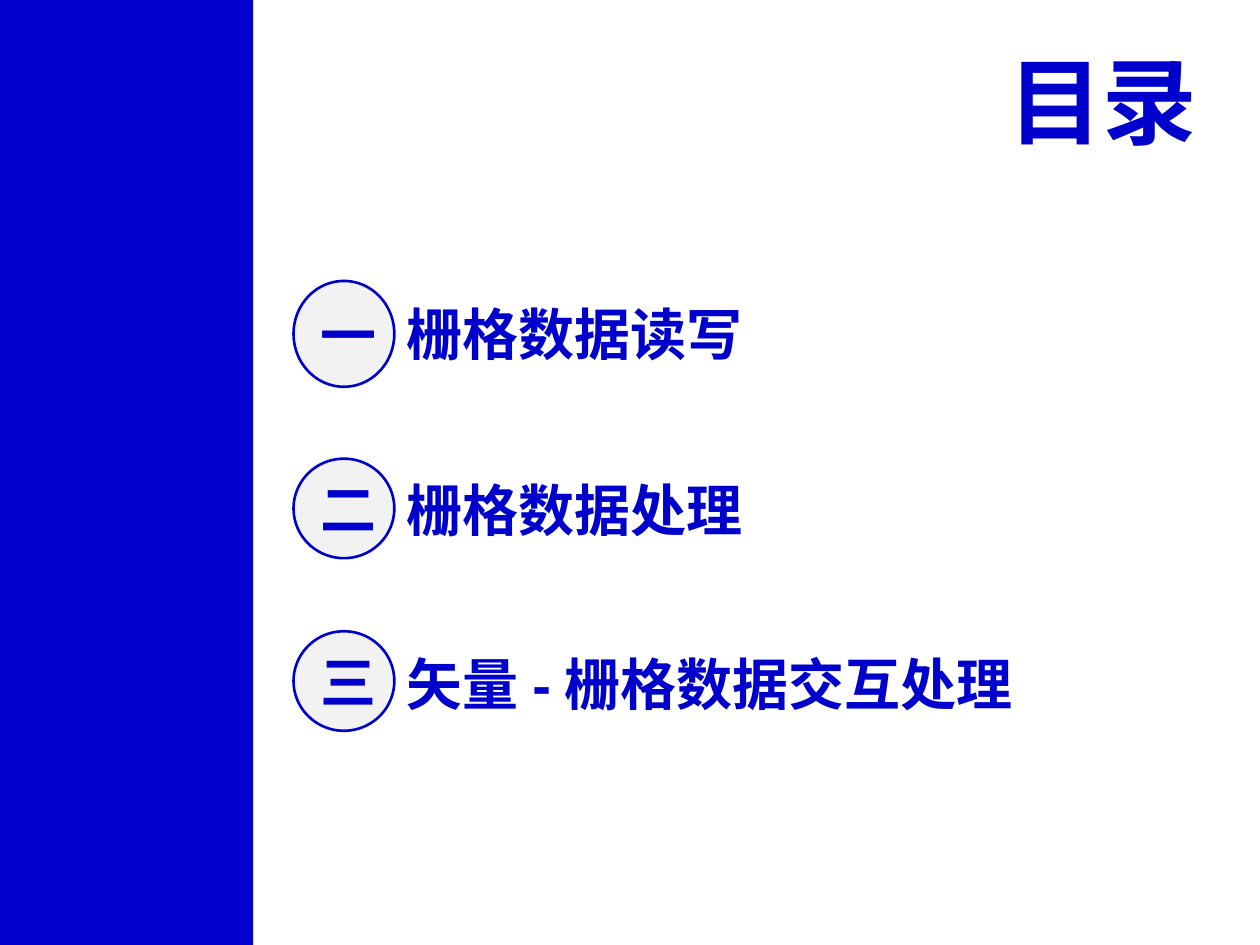
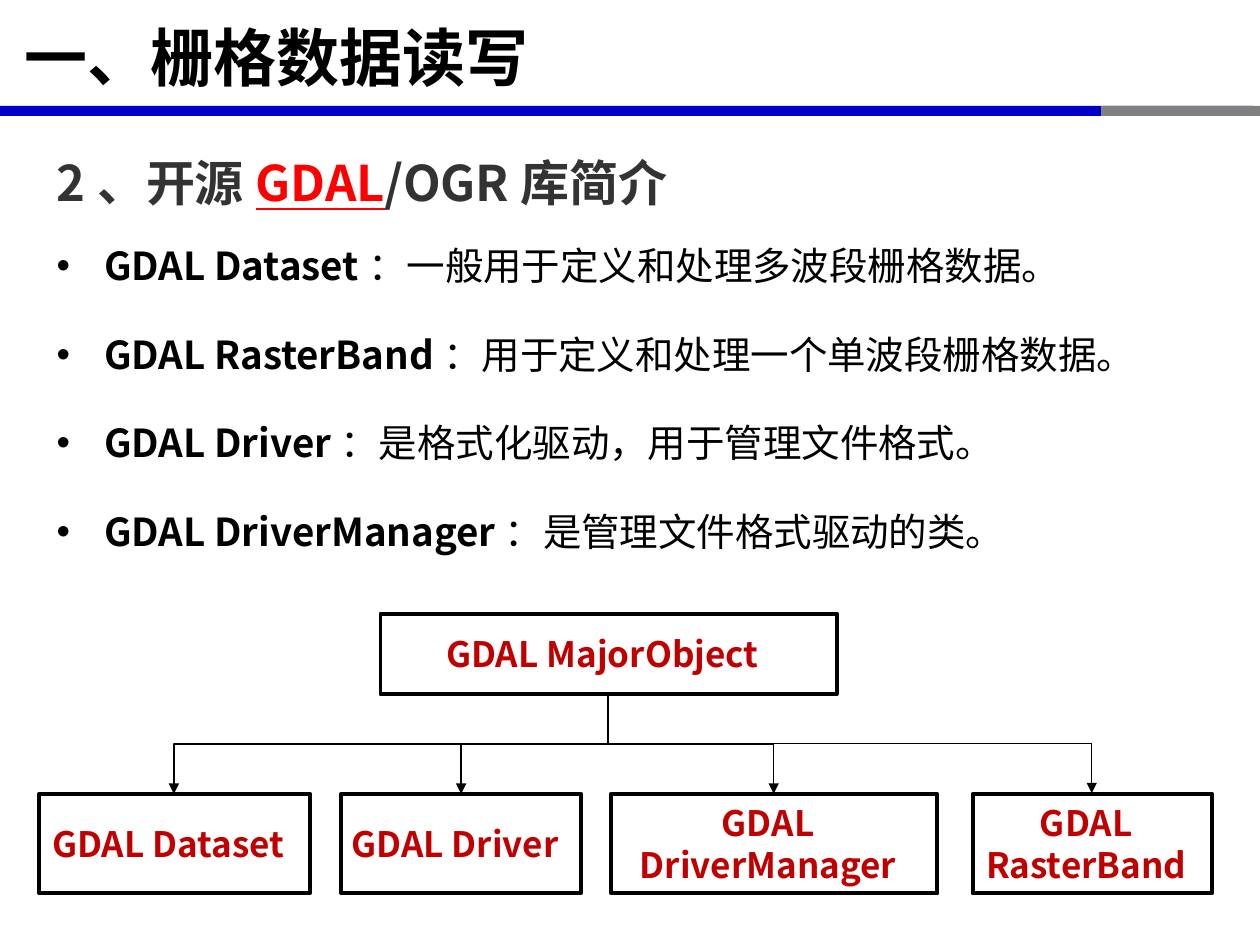
from dataclasses import dataclass
from typing import NamedTuple

from lxml.etree import SubElement
from pptx import Presentation
from pptx.dml.color import RGBColor
from pptx.enum.shapes import MSO_CONNECTOR, MSO_SHAPE
from pptx.enum.text import MSO_ANCHOR, PP_ALIGN
from pptx.oxml.ns import qn
from pptx.shapes.autoshape import Shape
from pptx.slide import Slide
from pptx.text.text import _Paragraph as Paragraph
from pptx.util import Emu, Pt

BLUE = RGBColor(0x00, 0x00, 0xCC)
GRAY = RGBColor(0x80, 0x80, 0x80)
PALE = RGBColor(0xF2, 0xF2, 0xF2)
DARK = RGBColor(0x33, 0x33, 0x33)
BLACK = RGBColor(0x00, 0x00, 0x00)
RED = RGBColor(0xFF, 0x00, 0x00)
CRIMSON = RGBColor(0xC0, 0x00, 0x00)

CJK_FONT = "Noto Sans CJK SC"
LATIN_FONT = "Arial"


def px(length: int) -> Emu:
    """Convert px to EMU at 100 px to the inch."""
    return Emu(length * 9144)


class Box(NamedTuple):
    left: int
    top: int
    width: int
    height: int

    @property
    def center_x(self) -> int:
        return self.left + self.width // 2

    @property
    def bottom(self) -> int:
        return self.top + self.height

    def emu(self) -> list[Emu]:
        return [px(length) for length in self]


@dataclass(frozen=True)
class Style:
    size: int
    color: RGBColor
    bold: bool = True
    underline: bool = False
    font: str = CJK_FONT


class Span(NamedTuple):
    text: str
    style: Style


class Chapter(NamedTuple):
    numeral: str
    title: str
    badge: Box
    label: Box


class ClassNode(NamedTuple):
    name: str
    box: Box


CONTENTS_TITLE = Style(54, BLUE, font=LATIN_FONT)
CHAPTER_NUMERAL = Style(32, BLUE)
CHAPTER_LABEL = Style(32, BLUE, font=LATIN_FONT)
SLIDE_TITLE = Style(36, BLACK)
SECTION = Style(28, DARK)
SECTION_KEYWORD = Style(28, RED, underline=True)
TERM = Style(22, BLACK)
MEANING = Style(22, BLACK, bold=False)
NODE_NAME = Style(20, CRIMSON)

CHAPTERS = [
    Chapter("一", "栅格数据读写", Box(233, 223, 80, 84), Box(313, 232, 647, 64)),
    Chapter("二", "栅格数据处理", Box(233, 364, 80, 79), Box(313, 372, 620, 64)),
    Chapter("三", "矢量-栅格数据交互处理", Box(233, 501, 80, 79), Box(313, 510, 620, 64)),
]

DEFINITIONS = {
    "GDAL Dataset": "：一般用于定义和处理多波段栅格数据。",
    "GDAL RasterBand": "：用于定义和处理一个单波段栅格数据。",
    "GDAL Driver": "：是格式化驱动，用于管理文件格式。",
    "GDAL DriverManager": "：是管理文件格式驱动的类。",
}

BASE_CLASS = ClassNode("GDAL MajorObject", Box(302, 487, 362, 64))
SUBCLASSES = [
    ClassNode(name, Box(left, 630, width, 79))
    for name, left, width in [
        ("GDAL Dataset", 31, 215),
        ("GDAL Driver", 271, 190),
        ("GDAL DriverManager", 485, 259),
        ("GDAL RasterBand", 772, 190),
    ]
]


def write(paragraph: Paragraph, *spans: Span) -> None:
    for text, style in spans:
        run = paragraph.add_run()
        run.text = text
        font = run.font
        font.name = style.font
        font.size = Pt(style.size)
        font.bold = style.bold
        font.underline = style.underline
        font.color.rgb = style.color
        SubElement(run._r.get_or_add_rPr(), qn("a:ea"), typeface=CJK_FONT)


def space_before_half_line(paragraph: Paragraph) -> None:
    paragraph.space_before = Pt(0)
    spacing = paragraph._p.pPr.find(qn("a:spcBef"))
    spacing.remove(spacing[0])
    SubElement(spacing, qn("a:spcPct"), val="50000")


def indent(paragraph: Paragraph, margin: int, first_line: int) -> None:
    properties = paragraph._p.get_or_add_pPr()
    properties.set("marL", str(px(margin)))
    properties.set("indent", str(px(first_line)))


def add_bullet(paragraph: Paragraph) -> None:
    indent(paragraph, 38, -38)
    properties = paragraph._p.pPr
    SubElement(properties, qn("a:buFont"), typeface=LATIN_FONT)
    SubElement(properties, qn("a:buChar"), char="•")


def add_panel(
    slide: Slide,
    kind: MSO_SHAPE,
    box: Box,
    fill: RGBColor | None = None,
    line: RGBColor | None = None,
    line_width: float = 0,
) -> Shape:
    panel = slide.shapes.add_shape(kind, *box.emu())
    panel.shadow.inherit = False
    if fill is None:
        panel.fill.background()
    else:
        panel.fill.solid()
        panel.fill.fore_color.rgb = fill
    if line is None:
        panel.line.fill.background()
    else:
        panel.line.color.rgb = line
        panel.line.width = Pt(line_width)
    return panel


def add_text(
    slide: Slide, box: Box, anchor: MSO_ANCHOR = MSO_ANCHOR.TOP, wrap: bool = True
) -> Shape:
    text_box = slide.shapes.add_textbox(*box.emu())
    text_box.text_frame.word_wrap = wrap
    text_box.text_frame.vertical_anchor = anchor
    return text_box


def write_centered(panel: Shape, span: Span) -> Paragraph:
    frame = panel.text_frame
    frame.word_wrap = True
    frame.vertical_anchor = MSO_ANCHOR.MIDDLE
    paragraph = frame.paragraphs[0]
    paragraph.alignment = PP_ALIGN.CENTER
    write(paragraph, span)
    return paragraph


def add_chapter(slide: Slide, chapter: Chapter) -> None:
    badge = add_panel(slide, MSO_SHAPE.OVAL, chapter.badge, PALE, BLUE, 1.5)
    write_centered(badge, Span(chapter.numeral, CHAPTER_NUMERAL))
    label = add_text(slide, chapter.label, MSO_ANCHOR.MIDDLE)
    write(label.text_frame.paragraphs[0], Span(chapter.title, CHAPTER_LABEL))


def add_class_node(slide: Slide, node: ClassNode) -> Shape:
    panel = add_panel(slide, MSO_SHAPE.RECTANGLE, node.box, line=BLACK, line_width=2.25)
    panel.text_frame.margin_left = 0
    space_before_half_line(write_centered(panel, Span(node.name, NODE_NAME)))
    return panel


def add_inheritance_arrow(
    slide: Slide, parent: ClassNode, child: ClassNode, parent_panel: Shape, child_panel: Shape
) -> None:
    """Draw an elbow arrow that leaves downwards, by turning its frame a quarter."""
    drop = child.box.top - parent.box.bottom
    shift = child.box.center_x - parent.box.center_x
    reach = abs(shift)
    arrow = slide.shapes.add_connector(MSO_CONNECTOR.ELBOW, 0, 0, 0, 0)
    arrow.begin_connect(parent_panel, 2)
    arrow.end_connect(child_panel, 0)
    arrow.left = px((parent.box.center_x + child.box.center_x - drop) // 2)
    arrow.top = px((parent.box.bottom + child.box.top - reach) // 2)
    arrow.width, arrow.height = px(drop), px(reach)
    arrow.line.color.rgb = BLACK
    arrow.line.width = Pt(0.75)

    properties = arrow._element.spPr
    frame = properties.find(qn("a:xfrm"))
    turn = 90 if shift < 0 else 270
    frame.set("rot", str(turn * 60000))
    frame.set("flipH", str(int(shift > 0)))
    frame.set("flipV", "0")
    SubElement(properties.find(qn("a:ln")), qn("a:tailEnd"), type="triangle")
    SubElement(properties, qn("a:effectLst"))


def add_slide_header(slide: Slide, title: str) -> None:
    add_panel(slide, MSO_SHAPE.RECTANGLE, Box(0, 84, 995, 8), BLUE)
    add_panel(slide, MSO_SHAPE.RECTANGLE, Box(874, 84, 126, 8), GRAY)
    heading = add_text(slide, Box(0, 1, 986, 87), MSO_ANCHOR.MIDDLE)
    paragraph = heading.text_frame.paragraphs[0]
    indent(paragraph, 0, 10)
    write(paragraph, Span(title, SLIDE_TITLE))


def build_contents(slide: Slide) -> None:
    add_panel(slide, MSO_SHAPE.RECTANGLE, Box(0, 0, 201, 750), BLUE)
    heading = add_text(slide, Box(784, 29, 176, 101), wrap=False)
    paragraph = heading.text_frame.paragraphs[0]
    paragraph.alignment = PP_ALIGN.RIGHT
    write(paragraph, Span("目录", CONTENTS_TITLE))
    for chapter in CHAPTERS:
        add_chapter(slide, chapter)


def build_library_intro(slide: Slide) -> None:
    add_slide_header(slide, "一、栅格数据读写")

    section = add_text(slide, Box(35, 93, 931, 72)).text_frame.paragraphs[0]
    section.alignment = PP_ALIGN.JUSTIFY
    section.line_spacing = 1.5
    space_before_half_line(section)
    write(
        section,
        Span("2、开源", SECTION),
        Span("GDAL", SECTION_KEYWORD),
        Span("/OGR库简介", SECTION),
    )

    definitions = add_text(slide, Box(35, 169, 902, 281)).text_frame
    for index, (term, meaning) in enumerate(DEFINITIONS.items()):
        paragraph = definitions.add_paragraph() if index else definitions.paragraphs[0]
        paragraph.line_spacing = 1.5
        space_before_half_line(paragraph)
        add_bullet(paragraph)
        write(paragraph, Span(term, TERM), Span(meaning, MEANING))

    base_panel = add_class_node(slide, BASE_CLASS)
    for subclass in SUBCLASSES:
        panel = add_class_node(slide, subclass)
        add_inheritance_arrow(slide, BASE_CLASS, subclass, base_panel, panel)


def main() -> None:
    deck = Presentation()
    deck.slide_width, deck.slide_height = px(1000), px(750)
    blank = deck.slide_layouts[6]
    for build in (build_contents, build_library_intro):
        build(deck.slides.add_slide(blank))
    deck.save("out.pptx")


if __name__ == "__main__":
    main()
